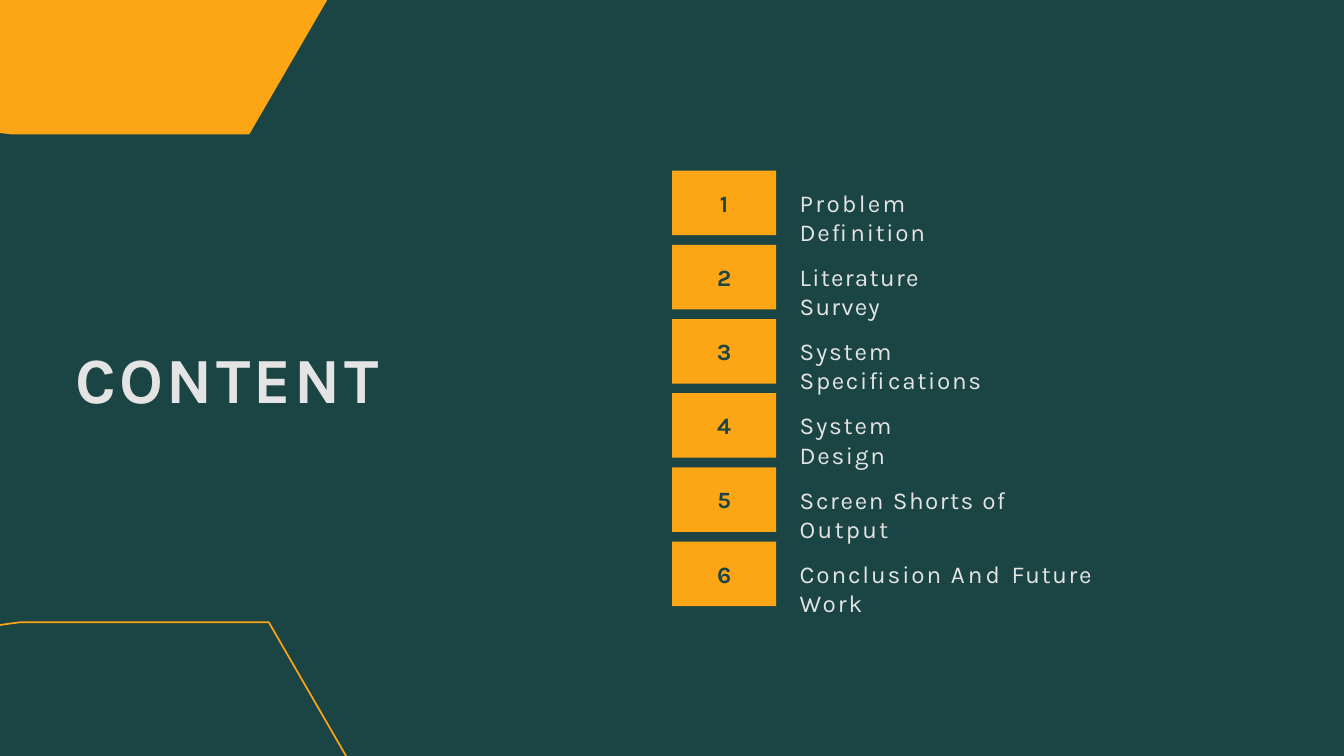
import pptx
import pptx.dml.color
import pptx.enum.shapes
import pptx.enum.text
import pptx.util
from pptx.util import Inches
import lxml.etree

COLORS = {"green": "1B4444", "amber": "FDA615", "light": "E4E4E4"}
FONT = "Karla"

# Each entry: badge letter spacing, label width, words with letter spacing
ENTRIES = [
    (-5.7, 3.45, [("Problem ", 2.5), ("Definition", 1.8)]),
    (-0.9, 3.06, [("Literature ", 1.4), ("Survey", 1.3)]),
    (-2, 3.96, [("System ", 1.9), ("Specifications", 1.8)]),
    (-0.1, 2.68, [("System ", 1.9), ("Design", 1.8)]),
    (-1.1, 4.35, [("Screen ", 1.8), ("Shorts ", 1.6), ("of ", 1.4), ("Output", 2.4)]),
    (-0.1, 5.2, [("Conclusion ", 2), ("And ", 3.2), ("Future ", 1.7), ("Work", 2.2)]),
]


def rgb(name):
    return pptx.dml.color.RGBColor.from_string(COLORS[name])


def write(frame, words, size, color, bold=False, top=0.01, before=1, indent=0.01, centered=False):
    """Fill a text frame with one paragraph of letter-spaced runs."""
    frame.word_wrap = True
    frame.auto_size = pptx.enum.text.MSO_AUTO_SIZE.SHAPE_TO_FIT_TEXT
    frame.vertical_anchor = pptx.enum.text.MSO_ANCHOR.TOP
    frame.margin_left = frame.margin_right = frame.margin_bottom = 0
    frame.margin_top = Inches(top)
    paragraph = frame.paragraphs[0]
    align = pptx.enum.text.PP_ALIGN
    paragraph.alignment = align.CENTER if centered else align.LEFT
    paragraph.space_before = pptx.util.Pt(before)
    if indent:
        paragraph._p.get_or_add_pPr().set("marL", str(Inches(indent)))
    for word, spacing in words:
        run = paragraph.add_run()
        run.text = word
        run.font.name = FONT
        run.font.size = pptx.util.Pt(size)
        run.font.bold = bold
        run.font.color.rgb = rgb(color)
        run._r.get_or_add_rPr().set("spc", str(round(spacing * 100)))


def add_label(slide, left, top, width, height, words, size, bold=False):
    label = slide.shapes.add_textbox(Inches(left), Inches(top), Inches(width), Inches(height))
    write(label.text_frame, words, size, "light", bold)


def add_outline(slide, left, top, points, closed):
    """Draw a freeform through points given relative to left and top."""
    corners = [(Inches(left + x), Inches(top + y)) for x, y in points]
    builder = slide.shapes.build_freeform(*corners[0])
    builder.add_line_segments(corners[1:], close=closed)
    outline = builder.convert_to_shape()
    outline.shadow.inherit = False
    return outline


def add_top_corner(slide, left, top):
    points = [(0, 0), (4.87, 0), (3.71, 2), (0.17, 2), (0.09, 1.99), (0, 1.98)]
    corner = add_outline(slide, left, top, points, closed=True)
    corner.fill.solid()
    corner.fill.fore_color.rgb = rgb("amber")
    corner.line.fill.background()


def add_bottom_corner(slide, left, top):
    points = [(0, 0.05), (0.15, 0.03), (0.3, 0.01), (4, 0.01), (5.15, 2)]
    corner = add_outline(slide, left, top, points, closed=False)
    corner.fill.background()
    corner.line.color.rgb = rgb("amber")
    corner.line.width = pptx.util.Pt(1.8)


def add_agenda(slide, left, top, pitch):
    """Stack numbered badges, each with its label to the right."""
    for number, (spacing, label_width, words) in enumerate(ENTRIES, 1):
        row = top + (number - 1) * pitch
        badge = slide.shapes.add_shape(
            pptx.enum.shapes.MSO_SHAPE.RECTANGLE,
            Inches(left), Inches(row), Inches(1.55), Inches(0.96))
        badge.shadow.inherit = False
        badge.fill.solid()
        badge.fill.fore_color.rgb = rgb("amber")
        badge.line.fill.background()
        write(badge.text_frame, [(str(number), spacing)], 25, "green", bold=True,
              top=0.27, before=19.2, indent=0, centered=True)
        add_label(slide, left + 1.89, row + 0.25, label_width, 0.46, words, 26)


def build_content_slide(deck):
    slide = deck.slides.add_slide(deck.slide_layouts[6])
    slide.background.fill.solid()
    slide.background.fill.fore_color.rgb = rgb("green")
    add_bottom_corner(slide, 0, 9.25)
    add_agenda(slide, 10, 2.54, 1.104)
    add_label(slide, 1.11, 5.04, 6.39, 1.18, [("CONTENT", 3.6)], 69, bold=True)
    add_top_corner(slide, 0, 0)


deck = pptx.Presentation()
deck.slide_width, deck.slide_height = Inches(20), Inches(11.25)
build_content_slide(deck)
deck.save("out.pptx")
